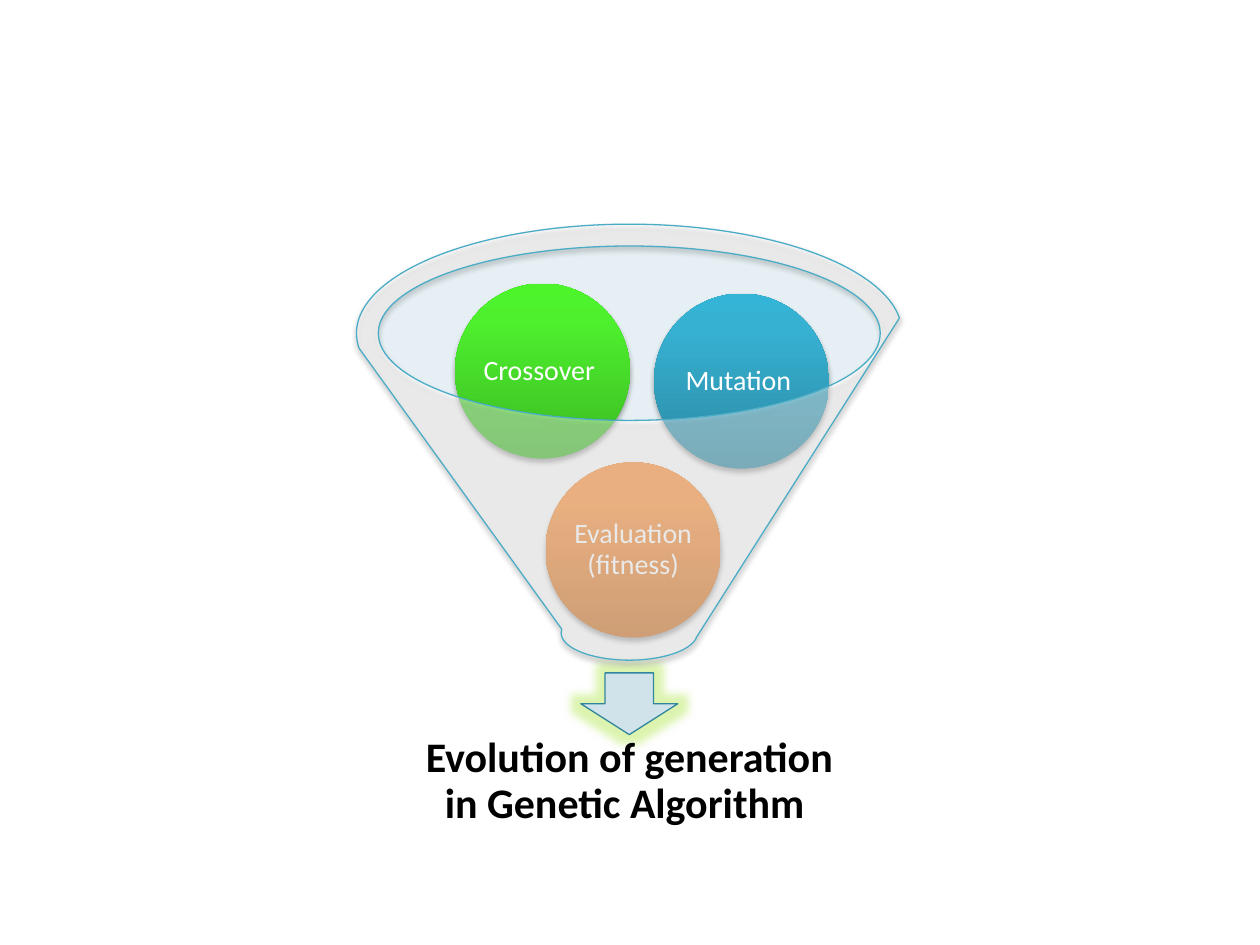
import dataclasses

import lxml.etree
import pptx
import pptx.dml.color
import pptx.enum.shapes
import pptx.enum.text
import pptx.oxml
import pptx.oxml.ns
import pptx.util

Inches = pptx.util.Inches
Shape = pptx.enum.shapes.MSO_SHAPE
qn = pptx.oxml.ns.qn
NS = 'xmlns:a="http://schemas.openxmlformats.org/drawingml/2006/main"'


@dataclasses.dataclass(frozen=True)
class Theme:
    """Colours, font and type sizes of the slide."""
    font: str = "Calibri"
    label_size: int = 16
    result_size: int = 24
    line_width: float = 0.75
    white: str = "FFFFFF"
    black: str = "000000"
    mouth: str = "C1DBE5"
    funnel_line: str = "4BACC6"
    arrow: str = "D0E3EA"
    arrow_line: str = "31859C"
    glow: str = "9BE01A"
    blue: tuple = ("2A88A2", "37B1D2", "34B4D6")
    green: tuple = ("3CB923", "4EF02E", "4CF52A")
    orange: tuple = ("CC6E20", "FF9034", "FF9136")


class FunnelSlide:
    """Draws funnel elements on one slide in one style."""

    def __init__(self, prs, theme):
        self.theme = theme
        self.s = prs.slides.add_slide(prs.slide_layouts[6])

    def shape(self, kind, box, color, alpha=None, line=None):
        """Add a preset shape with a flat fill and no shadow."""
        sp = self.s.shapes.add_shape(kind, *map(Inches, box))
        sp.shadow.inherit = False
        sp.fill.solid()
        sp.fill.fore_color.rgb = pptx.dml.color.RGBColor.from_string(color)
        if alpha is not None:
            clr = sp._element.spPr.find(qn("a:solidFill"))[0]
            lxml.etree.SubElement(clr, qn("a:alpha")).set("val", str(alpha * 1000))
        if line:
            sp.line.color.rgb = pptx.dml.color.RGBColor.from_string(line)
            sp.line.width = pptx.util.Pt(self.theme.line_width)
        else:
            sp.line.fill.background()
        return sp

    def effect(self, sp, tag, attrs, color, alpha):
        """Give a shape one effect such as a shadow or a glow."""
        sp._element.spPr.find(qn("a:effectLst")).append(pptx.oxml.parse_xml(
            f'<a:{tag} {NS} {attrs}><a:srgbClr val="{color}">'
            f'<a:alpha val="{alpha * 1000}"/></a:srgbClr></a:{tag}>'))

    def shadow(self, sp):
        """Give a shape the soft shadow below it."""
        attrs = (f'blurRad="{pptx.util.Pt(3.1)}" dist="{pptx.util.Pt(1.8)}" '
                 'dir="5400000" rotWithShape="0"')
        self.effect(sp, "outerShdw", attrs, self.theme.black, 35)

    def text(self, sp, text, size, color, inset, bold=False):
        """Write one centred paragraph in a shape."""
        tf = sp.text_frame
        tf.word_wrap = True
        tf.vertical_anchor = pptx.enum.text.MSO_ANCHOR.MIDDLE
        tf.margin_left = tf.margin_right = Inches(inset)
        tf.margin_top = tf.margin_bottom = Inches(inset)
        p = tf.paragraphs[0]
        p.alignment = pptx.enum.text.PP_ALIGN.CENTER
        p.line_spacing = 0.9
        r = p.add_run()
        r.text = text
        r.font.name = self.theme.font
        r.font.size = pptx.util.Pt(size)
        r.font.bold = bold
        r.font.color.rgb = pptx.dml.color.RGBColor.from_string(color)

    def ball(self, left, top, label, colors):
        """Add a labelled ball shaded from bottom to top."""
        sp = self.shape(Shape.OVAL, (left, top, 1.39, 1.39), colors[0])
        stops = "".join(f'<a:gs pos="{pos * 1000}"><a:srgbClr val="{c}"/></a:gs>'
                        for pos, c in zip((0, 80, 100), colors))
        spPr = sp._element.spPr
        spPr.replace(spPr.find(qn("a:solidFill")), pptx.oxml.parse_xml(
            f'<a:gradFill {NS} rotWithShape="1"><a:gsLst>{stops}</a:gsLst>'
            '<a:lin ang="16200000" scaled="0"/></a:gradFill>'))
        self.shadow(sp)
        self.text(sp, label, self.theme.label_size, self.theme.white, 0.02)

    def arrow(self, box):
        """Add the glowing arrow below the funnel."""
        t = self.theme
        sp = self.shape(Shape.DOWN_ARROW, box, t.arrow, line=t.arrow_line)
        self.effect(sp, "glow", f'rad="{Inches(0.14)}"', t.glow, 35)

    def result(self, box, text):
        """Add the caption that the arrow leads to."""
        sp = self.s.shapes.add_textbox(*map(Inches, box))
        self.text(sp, text, self.theme.result_size, self.theme.black, 0.19, True)

    def funnel(self, box):
        """Add the translucent funnel."""
        t = self.theme
        self.shadow(self.shape(Shape.FUNNEL, box, t.white, 40, t.funnel_line))


def main():
    """Build the slide and save it."""
    prs = pptx.Presentation()
    prs.slide_width, prs.slide_height = Inches(10), Inches(7.5)
    theme = Theme()
    s = FunnelSlide(prs, theme)
    s.shape(Shape.OVAL, (3, 1.95, 3.99, 1.39), theme.mouth, 40)
    s.arrow((4.61, 5.34, 0.77, 0.49))
    s.result((3.14, 5.74, 3.71, 0.93), "Evolution of generation in Genetic Algorithm ")
    s.ball(5.19, 2.33, "Mutation ", theme.blue)
    s.ball(3.61, 2.25, "Crossover ", theme.green)
    s.ball(4.33, 3.67, "Evaluation (fitness)", theme.orange)
    s.funnel((2.83, 1.78, 4.33, 3.46))
    prs.save("out.pptx")


if __name__ == "__main__":
    main()
